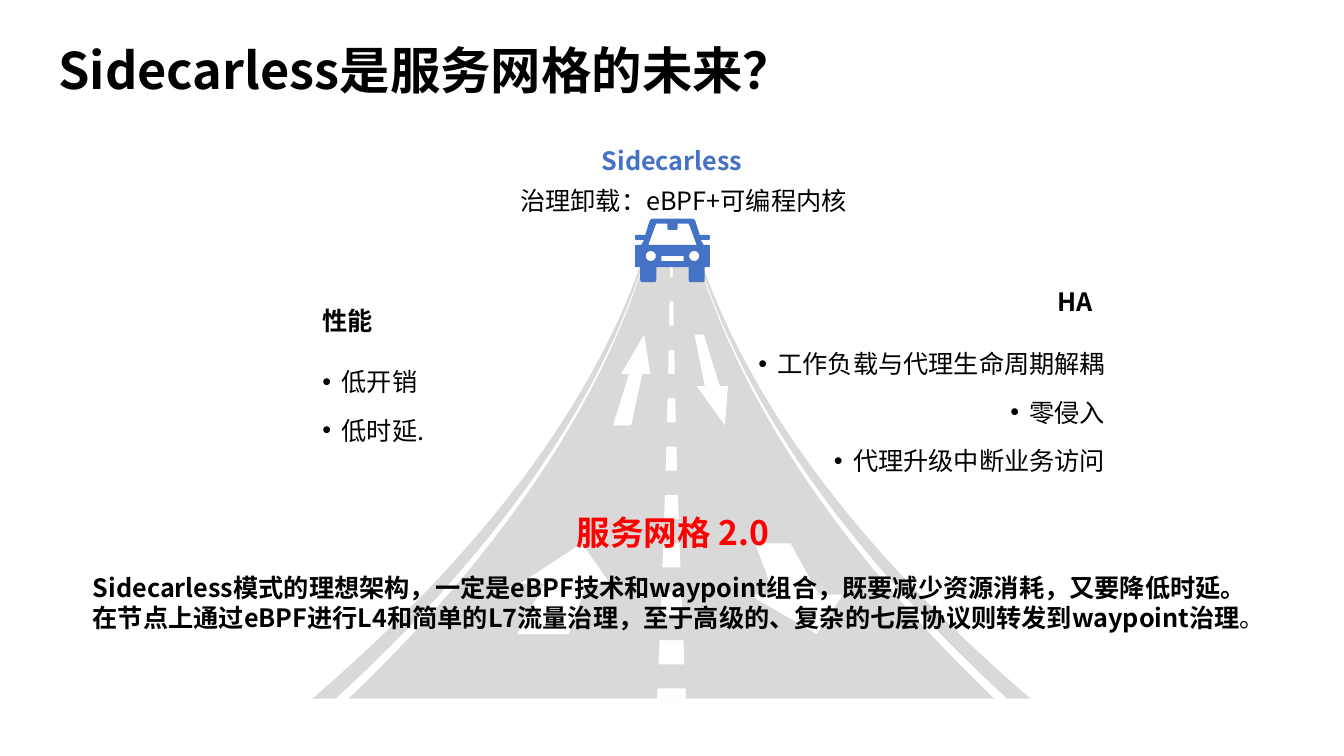
from lxml.etree import SubElement
from math import cos, pi, sin

from pptx import Presentation
from pptx.dml.color import RGBColor
from pptx.enum.text import MSO_ANCHOR, MSO_AUTO_SIZE, PP_ALIGN
from pptx.oxml.ns import qn
from pptx.util import Inches, Pt

FONT = "Noto Sans CJK SC"
BLUE, GREY, WHITE, BLACK, RED = "4472C4", "D9D9D9", "FFFFFF", "000000", "FF0000"
ROAD_AXIS, CAR_AXIS = 6.66, 6.67
ROAD_TOP, ROAD_BOTTOM = 2.64, 6.93

LANE_ARROWS = [
    [(5.82, 5.79), (5.64, 6.29), (5.13, 6.29), (5.4, 5.79), (5.16, 5.79), (5.77, 5.39), (6.05, 5.79)],
    [(6.45, 3.71), (6.39, 3.32), (6.16, 3.71), (6.24, 3.71), (6.08, 4.22), (6.26, 4.22), (6.37, 3.71)],
    [(6.91, 3.83), (7.19, 4.22), (7.22, 3.83), (7.14, 3.83), (6.98, 3.32), (6.89, 3.32), (6.99, 3.83)],
    [(7.43, 5.9), (8.1, 6.29), (8.36, 5.9), (8.12, 5.9), (7.84, 5.39), (7.49, 5.39), (7.68, 5.9)],
]
CAR_RIGHT = [
    (6.89, 2.17, 0.05), (6.94, 2.33), (7.04, 2.33, 0.02), (7.04, 2.38, 0.02), (6.95, 2.38),
    (6.98, 2.43), (7.04, 2.43, 0.02), (7.04, 2.65, 0.02), (6.99, 2.65), (6.99, 2.8, 0.05),
    (6.83, 2.8, 0.05), (6.83, 2.65),
]
WINDSCREEN_RIGHT = [(6.72, 2.22), (6.83, 2.22), (6.84, 2.24), (6.91, 2.43)]


def color(hex_code):
    """Return the colour for a hex string."""
    return RGBColor.from_string(hex_code)


def cubic(p0, p1, p2, p3, n=24):
    """Return points along a cubic curve."""
    weights = [((1 - t) ** 3, 3 * t * (1 - t) ** 2, 3 * t * t * (1 - t), t ** 3)
               for t in (i / n for i in range(n + 1))]
    return [tuple(sum(w * p[k] for w, p in zip(ws, (p0, p1, p2, p3))) for k in (0, 1))
            for ws in weights]


def mirror(points, axis):
    """Reflect points across a vertical axis, in reverse order."""
    return [(2 * axis - p[0], *p[1:]) for p in reversed(points)]


def rounded(points):
    """Round each corner that carries a radius."""
    result = []
    for i, (x, y, *radius) in enumerate(points):
        if not radius:
            result.append((x, y))
            continue
        ends = []
        for nx, ny, *_ in (points[i - 1], points[(i + 1) % len(points)]):
            length = ((nx - x) ** 2 + (ny - y) ** 2) ** 0.5
            ends.append((x + (nx - x) * radius[0] / length, y + (ny - y) * radius[0] / length))
        result += cubic(ends[0], (x, y), (x, y), ends[1], 6)
    return result


def circle(cx, cy, r, n=24):
    """Return points around a circle."""
    return [(cx + r * cos(2 * pi * i / n), cy + r * sin(2 * pi * i / n)) for i in range(n)]


def add_outline(s, contours, fill):
    """Add a filled freeform; contours after the first are holes."""
    fb = None
    for contour in contours:
        pts = [(Inches(x), Inches(y)) for x, y in contour]
        if fb is None:
            fb = s.shapes.build_freeform(*pts[0])
        else:
            fb.move_to(*pts[0])
        fb.add_line_segments(pts[1:], close=True)
    sp = fb.convert_to_shape()
    sp.shadow.inherit = False
    sp.fill.solid()
    sp.fill.fore_color.rgb = color(fill)
    sp.line.fill.background()


def center_dash(top, bottom):
    """Return a centre-line dash that widens toward the viewer."""
    right = [(ROAD_AXIS + 0.013 + 0.0144 * t + 0.0038 * t * t, y)
             for y in (top, bottom) for t in (y - ROAD_TOP,)]
    return right + mirror(right, ROAD_AXIS)


def add_road(s):
    """Add the road, its edge lines and its lane arrows."""
    edge = (cubic((6.35, 2.64), (5.84, 4.07), (4.76, 5.5), (3.1, 6.93))
            + cubic((3.33, 6.93), (4.89, 5.5), (5.9, 4.07), (6.37, 2.64)))
    left = cubic((6.38, 2.64), (5.92, 4.07), (4.95, 5.5), (3.46, 6.93))
    dashes = [center_dash(max(ROAD_TOP, y), min(ROAD_BOTTOM, y + 0.24))
              for y in (2.51 + 0.48 * i for i in range(10)) if y < ROAD_BOTTOM]
    add_outline(s, [edge], GREY)
    add_outline(s, [left + mirror(left, ROAD_AXIS), *dashes], GREY)
    add_outline(s, [mirror(edge, ROAD_AXIS)], GREY)
    for arrow in LANE_ARROWS:
        add_outline(s, [arrow], WHITE)


def add_car(s):
    """Add the car with its windscreen, plate and lamps."""
    notch = [(6.62, 2.22), (6.62, 2.28, 0.02), (6.72, 2.28, 0.02)]
    windscreen = rounded(notch + WINDSCREEN_RIGHT + mirror(WINDSCREEN_RIGHT, CAR_AXIS)[:-1])
    plate = [(6.56, 2.54), (6.78, 2.54), (6.78, 2.59), (6.56, 2.59)]
    lamps = [circle(x, 2.54, 0.05) for x in (6.455, 6.885)]
    body = rounded(CAR_RIGHT + mirror(CAR_RIGHT, CAR_AXIS))
    add_outline(s, [body, windscreen, plate, *lamps], BLUE)


def add_box(s, box, wrap=True, anchor=MSO_ANCHOR.TOP):
    """Add an empty text box and return its text frame."""
    tf = s.shapes.add_textbox(*map(Inches, box)).text_frame
    tf.word_wrap = wrap
    tf.vertical_anchor = anchor
    return tf


def add_text(tf, text, size=18, fill=BLACK, bold=False, align=PP_ALIGN.LEFT,
             spacing=1.0, before=0, after=0, bullet=False):
    """Add a paragraph to a text frame and return it."""
    p = tf.paragraphs[0] if not tf.paragraphs[0].runs else tf.add_paragraph()
    p.alignment = align
    p.line_spacing = spacing
    p.space_before, p.space_after = Pt(before), Pt(after)
    if bullet:
        pPr = p._p.get_or_add_pPr()
        pPr.set("marL", str(Inches(0.19)))
        pPr.set("indent", str(-Inches(0.19)))
        SubElement(pPr, qn("a:buFont")).set("typeface", "Arial")
        SubElement(pPr, qn("a:buChar")).set("char", "•")
    add_run(p, text, size, fill, bold)
    return p


def add_run(p, text, size=18, fill=BLACK, bold=False):
    """Add a formatted run to a paragraph."""
    r = p.add_run()
    r.text = text
    r.font.size, r.font.bold = Pt(size), bold
    r.font.color.rgb = color(fill)
    r.font.name = FONT
    SubElement(r._r.get_or_add_rPr(), qn("a:ea")).set("typeface", FONT)


def add_points(s, head_box, head, list_box, items, align):
    """Add a bold heading with a bulleted list below it."""
    tf = add_box(s, list_box)
    for item in items:
        add_text(tf, item, align=align, spacing=1.6, bullet=True)
    add_text(add_box(s, head_box, wrap=False), head, bold=True, align=align, spacing=0.9)


def add_summary(s):
    """Add the red heading and the closing statement."""
    tf = add_box(s, (0.92, 5.07, 11.51, 1.22))
    tf.margin_left = tf.margin_right = tf.margin_bottom = 0
    tf.margin_top = Inches(0.01)
    tf.auto_size = MSO_AUTO_SIZE.SHAPE_TO_FIT_TEXT
    add_text(tf, "服务网格 2.0", size=24, fill=RED, bold=True, align=PP_ALIGN.CENTER, after=2)
    p = add_text(tf, "Sidecarless模式的理想架构，一定是eBPF技术和waypoint组合，既要减少资源消耗，"
                 "又要降低时延。在节点上通过eBPF进行L4和简单的L7流量治理，"
                 "至于高级的、复杂的七层协议则转发到waypoint治理", bold=True, before=12, after=2)
    add_run(p, "。")


def main():
    """Build the slide and save it."""
    prs = Presentation()
    prs.slide_width, prs.slide_height = Inches(13.33), Inches(7.5)
    s = prs.slides.add_slide(prs.slide_layouts[6])
    add_text(add_box(s, (0.48, 0.16, 11.5, 1.14), anchor=MSO_ANCHOR.MIDDLE),
             "Sidecarless是服务网格的未来？", size=36, bold=True, spacing=0.9)
    add_road(s)
    add_car(s)
    add_text(add_box(s, (5.43, 1.37, 2.47, 0.42), wrap=False, anchor=MSO_ANCHOR.BOTTOM),
             "Sidecarless", fill=BLUE, bold=True, align=PP_ALIGN.CENTER)
    add_text(add_box(s, (4.78, 1.79, 4, 0.29)),
             "治理卸载：eBPF+可编程内核", align=PP_ALIGN.CENTER)
    add_points(s, (3.1, 3.01, 4.64, 0.4), "性能", (3.1, 3.41, 4.64, 0.94),
               ["低开销", "低时延."], PP_ALIGN.LEFT)
    add_points(s, (6.3, 2.83, 4.64, 0.4), "HA", (6.3, 3.23, 4.76, 1.08),
               ["工作负载与代理生命周期解耦", "零侵入", "代理升级中断业务访问"], PP_ALIGN.RIGHT)
    add_summary(s)
    prs.save("out.pptx")


if __name__ == "__main__":
    main()
